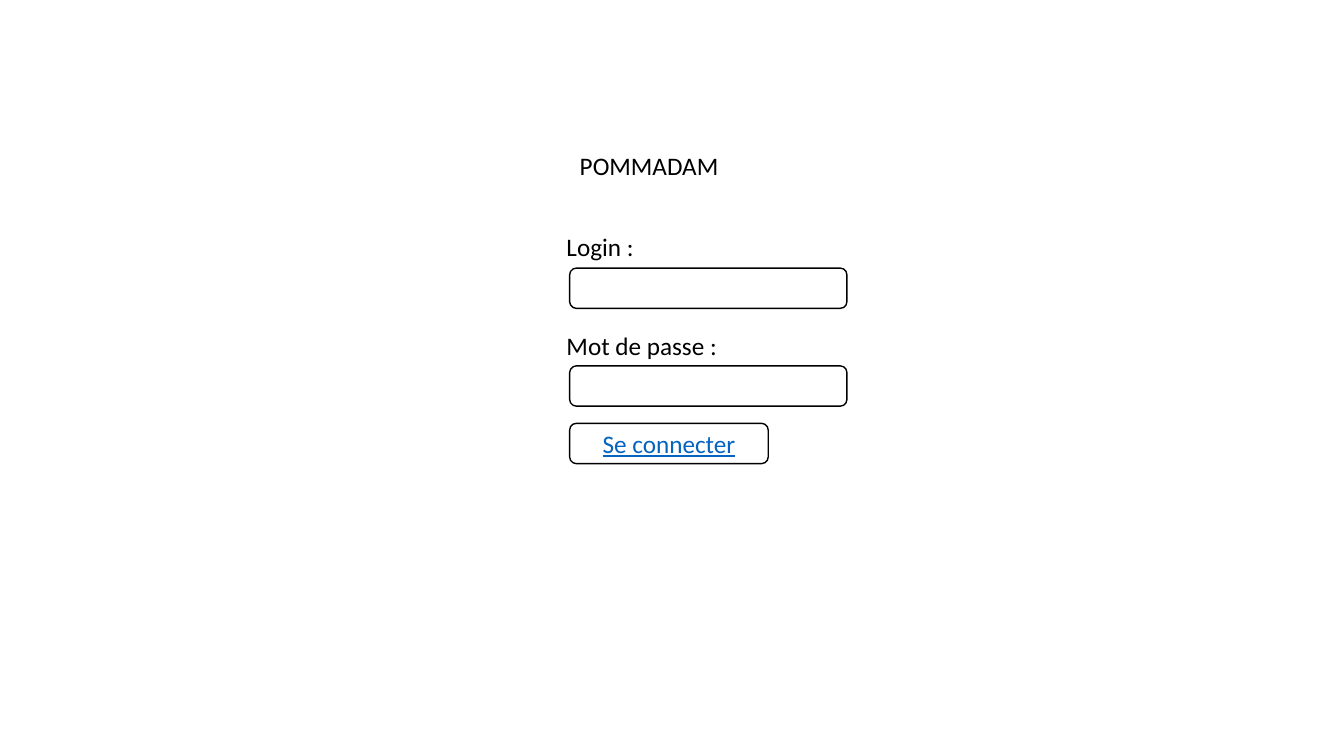
from pptx import Presentation
from pptx.dml.color import RGBColor
from pptx.enum.shapes import MSO_SHAPE
from pptx.enum.text import MSO_ANCHOR, MSO_AUTO_SIZE, PP_ALIGN
from pptx.util import Inches, Pt

ROUNDED = MSO_SHAPE.ROUNDED_RECTANGLE
TOP, MIDDLE = MSO_ANCHOR.TOP, MSO_ANCHOR.MIDDLE
LEFT, CENTER = PP_ALIGN.LEFT, PP_ALIGN.CENTER
FIT_TEXT = MSO_AUTO_SIZE.SHAPE_TO_FIT_TEXT
TITLE_ONLY = 5
FONT = "Calibri"
BLACK, LINK_BLUE = "000000", "0563C1"
FORM_LEFT, LABEL_LEFT = 5.65, 5.52
ROW_HEIGHT, FIELD_WIDTH = 0.4, 2.75


def color(hex_code):
    """Return the colour for a hex string."""
    return RGBColor.from_string(hex_code)


def write(frame, text, hex_code=BLACK, align=LEFT, anchor=TOP, underline=False):
    """Write one formatted run into a text frame."""
    frame.word_wrap = True
    frame.vertical_anchor = anchor
    paragraph = frame.paragraphs[0]
    paragraph.alignment = align
    run = paragraph.add_run()
    run.text = text
    run.font.name = FONT
    run.font.size = Pt(18)
    run.font.underline = underline
    run.font.color.rgb = color(hex_code)


def place_title(slide, text):
    """Move the title placeholder above the form and fill it."""
    title = slide.shapes.title
    title.left, title.top = Inches(FORM_LEFT), Inches(1.44)
    title.width, title.height = Inches(2.54), Inches(ROW_HEIGHT)
    write(title.text_frame, text)
    title.text_frame.auto_size = FIT_TEXT


def add_label(slide, text, top, width):
    """Add the caption of a form field."""
    label = slide.shapes.add_textbox(
        Inches(LABEL_LEFT), Inches(top), Inches(width), Inches(ROW_HEIGHT))
    write(label.text_frame, text)
    label.text_frame.auto_size = FIT_TEXT


def add_frame(slide, top, width):
    """Add an unfilled rounded frame and return it."""
    frame = slide.shapes.add_shape(
        ROUNDED, Inches(FORM_LEFT), Inches(top), Inches(width), Inches(ROW_HEIGHT))
    frame.shadow.inherit = False
    frame.fill.background()
    frame.line.color.rgb = color(BLACK)
    frame.line.width = Pt(1)
    return frame


def main():
    """Build the login slide."""
    deck = Presentation()
    deck.slide_width, deck.slide_height = Inches(13.33), Inches(7.5)
    slide = deck.slides.add_slide(deck.slide_layouts[TITLE_ONLY])
    place_title(slide, "POMMADAM")
    fields = [("Login :", 2.25, 0.92, 2.66), ("Mot de passe :", 3.23, 1.81, 3.63)]
    for caption, label_top, label_width, field_top in fields:
        add_label(slide, caption, label_top, label_width)
        add_frame(slide, field_top, FIELD_WIDTH)
    button = add_frame(slide, 4.2, 1.97)
    write(button.text_frame, "Se connecter", LINK_BLUE, CENTER, MIDDLE, True)
    deck.save("out.pptx")


if __name__ == "__main__":
    main()
